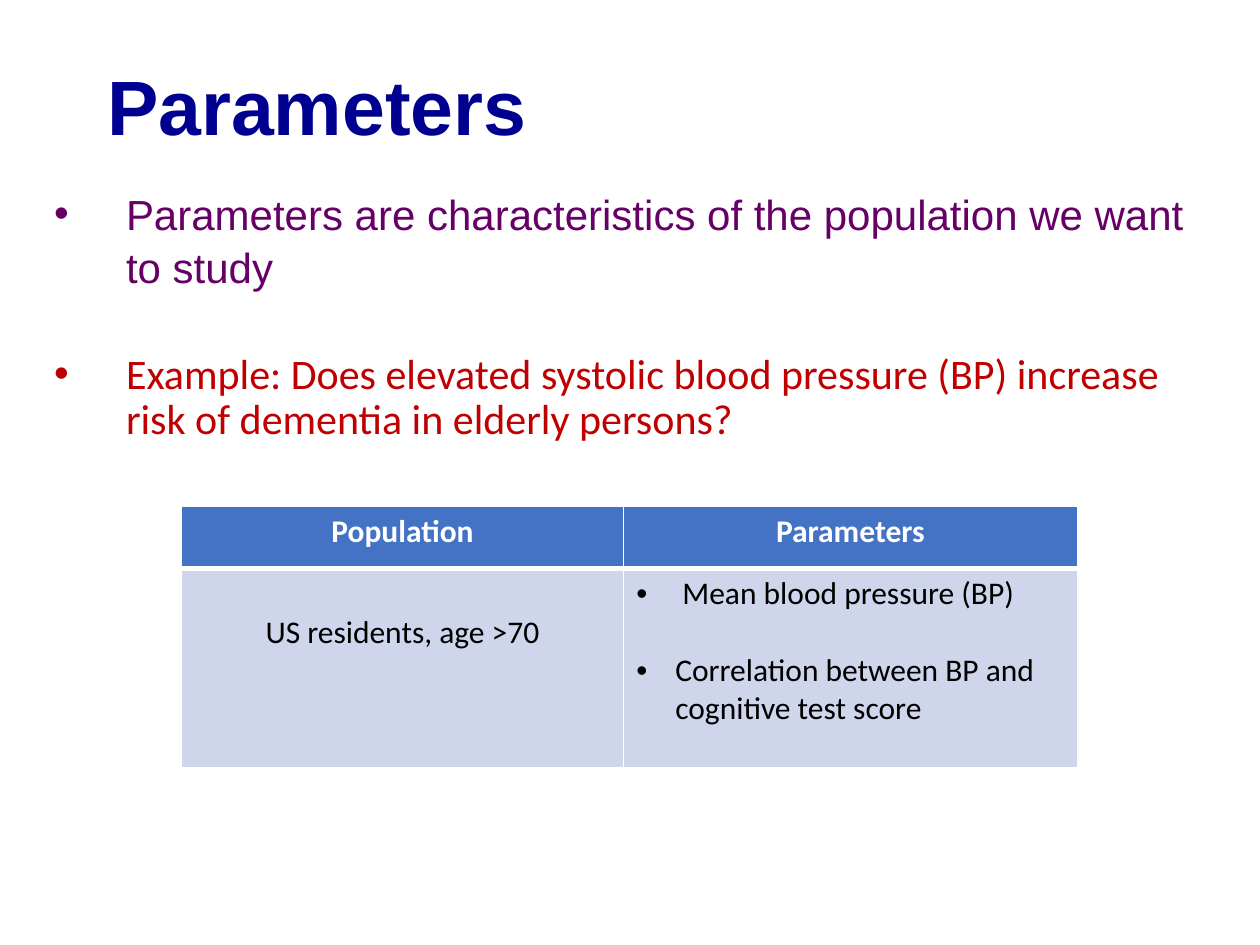
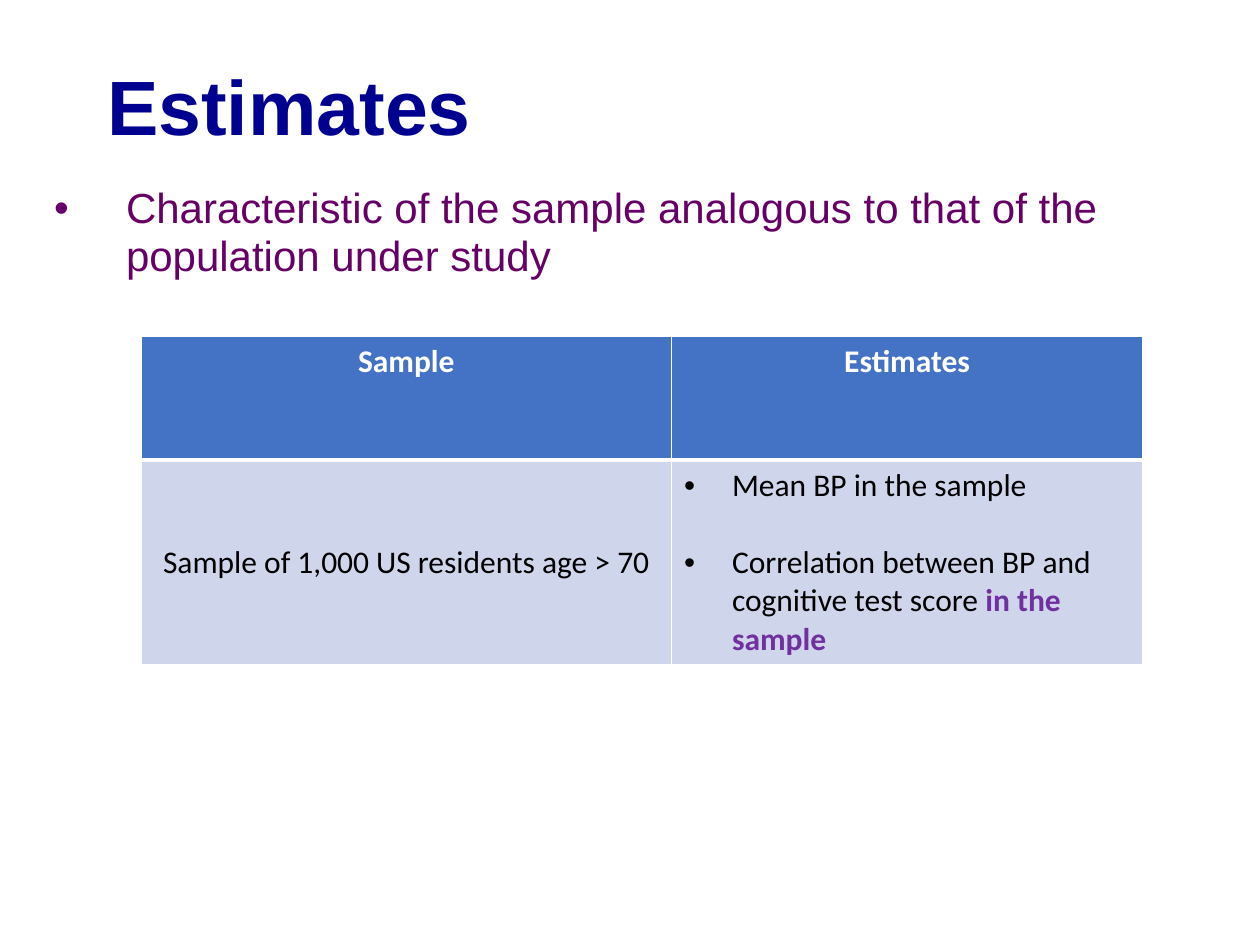
from lxml import etree
from pptx import Presentation
from pptx import util as u
from pptx.dml.color import RGBColor
from pptx.enum import text
from pptx.oxml import parse_xml
from pptx.oxml.ns import nsdecls, qn

PX = 9144  # 100 px to the inch
NAVY, PLUM, RED, VIOLET = "000090", "660066", "C00000", "7030A0"
BLUE, PALE, WHITE, BLACK = "4472C4", "CFD5EA", "FFFFFF", "000000"
LEFT, CENTER = text.PP_ALIGN.LEFT, text.PP_ALIGN.CENTER


def paint(color_format, hex_color):
    color_format.rgb = RGBColor.from_string(hex_color)


def write(paragraph, words, size=18, font="Calibri", color=BLACK, bold=False,
          align=None, spacing=None, before=None, indent=None):
    """Add a run; an indent in px also makes the paragraph a bullet."""
    if align is not None:
        paragraph.alignment = align
    if spacing is not None:
        paragraph.line_spacing = spacing
    if before is not None:
        paragraph.space_before = u.Pt(before)
    if indent:
        properties = paragraph._p.get_or_add_pPr()
        properties.set("marL", str(indent * PX))
        properties.set("indent", str(-indent * PX))
        etree.SubElement(properties, qn("a:buFont")).set("typeface", "Arial")
        etree.SubElement(properties, qn("a:buChar")).set("char", "•")
    run = paragraph.add_run()
    run.text = words
    run.font.size, run.font.name, run.font.bold = u.Pt(size), font, bold
    paint(run.font.color, color)


# Statements: words, font, colour, line spacing, space before
# Findings: the runs of each bullet as (words, format)
PAGES = [
    dict(
        title="Parameters",
        statements=[
            ("Parameters are characteristics of the population we want to study",
             "Arial", PLUM, 1.06, 0),
            ("Example: Does elevated systolic blood pressure (BP) increase "
             "risk of dementia in elderly persons?", "Calibri", RED, 0.9, 35),
        ],
        place=(144, 402), columns=(351, 360), rows=(49, 158),
        headings=("Population", "Parameters"),
        group="US residents, age >70", group_anchor=text.MSO_ANCHOR.TOP, group_top=36,
        indent=31,
        findings=[
            [(" Mean blood pressure (BP)", {})],
            [("Correlation between BP and cognitive test score", {})],
        ],
    ),
    dict(
        title="Estimates",
        statements=[
            ("Characteristic of the sample analogous to that of the population under study",
             "Arial", PLUM, 0.95, 0),
        ],
        place=(112, 267), columns=(421, 374), rows=(98, 160),
        headings=("Sample", "Estimates"),
        group="Sample of 1,000 US residents age > 70",
        group_anchor=text.MSO_ANCHOR.MIDDLE, group_top=5,
        indent=38,
        findings=[
            [("Mean BP in the sample", {})],
            [("Correlation between BP and cognitive test score ", {}),
             ("in the sample", dict(color=VIOLET, bold=True))],
        ],
    ),
]

deck = Presentation()
deck.slide_width, deck.slide_height = 1000 * PX, 750 * PX

for page in PAGES:
    slide = deck.slides.add_slide(deck.slide_layouts[1])
    title, body = slide.placeholders
    for holder, box in ((title, (75, 25, 850, 125)), (body, (33, 142, 942, 583))):
        holder.left, holder.top, holder.width, holder.height = (n * PX for n in box)
        holder.text_frame.auto_size = text.MSO_AUTO_SIZE.NONE
    title.text_frame.vertical_anchor = text.MSO_ANCHOR.MIDDLE
    write(title.text_frame.paragraphs[0], page["title"], size=44, font="Arial",
          color=NAVY, bold=True, align=LEFT, spacing=0.9)

    for i, (words, font, color, spacing, before) in enumerate(page["statements"]):
        frame = body.text_frame
        line = frame.add_paragraph() if i else frame.paragraphs[0]
        write(line, words, size=24, font=font, color=color, align=LEFT,
              spacing=spacing, before=before, indent=57)

    left, top = page["place"]
    table = slide.shapes.add_table(
        2, 2, left * PX, top * PX,
        sum(page["columns"]) * PX, sum(page["rows"]) * PX).table
    table.horz_banding = False
    for column, width in zip(table.columns, page["columns"]):
        column.width = width * PX
    for r, height in enumerate(page["rows"]):
        table.rows[r].height = height * PX
        for cell in table.rows[r].cells:
            widths = dict(L=1, R=1, T=3 if r else 1, B=1 if r else 3)
            for side, points in widths.items():
                cell._tc.get_or_add_tcPr().append(parse_xml(
                    f'<a:ln{side} {nsdecls("a")} w="{u.Pt(points)}"><a:solidFill>'
                    f'<a:srgbClr val="{WHITE}"/></a:solidFill></a:ln{side}>'))
            cell.fill.solid()
            paint(cell.fill.fore_color, PALE if r else BLUE)

    for c, heading in enumerate(page["headings"]):
        write(table.cell(0, c).text_frame.paragraphs[0], heading,
              color=WHITE, bold=True, align=CENTER)

    group = table.cell(1, 0)
    group.vertical_anchor = page["group_anchor"]
    group.margin_top = page["group_top"] * PX
    write(group.text_frame.paragraphs[0], page["group"], align=CENTER)

    findings = table.cell(1, 1).text_frame
    for i, runs in enumerate(page["findings"]):
        finding = findings.add_paragraph() if i else findings.paragraphs[0]
        for j, (words, style) in enumerate(runs):
            layout = {} if j else dict(indent=page["indent"], before=22 if i else 0)
            write(finding, words, **layout, **style)

deck.save("out.pptx")
